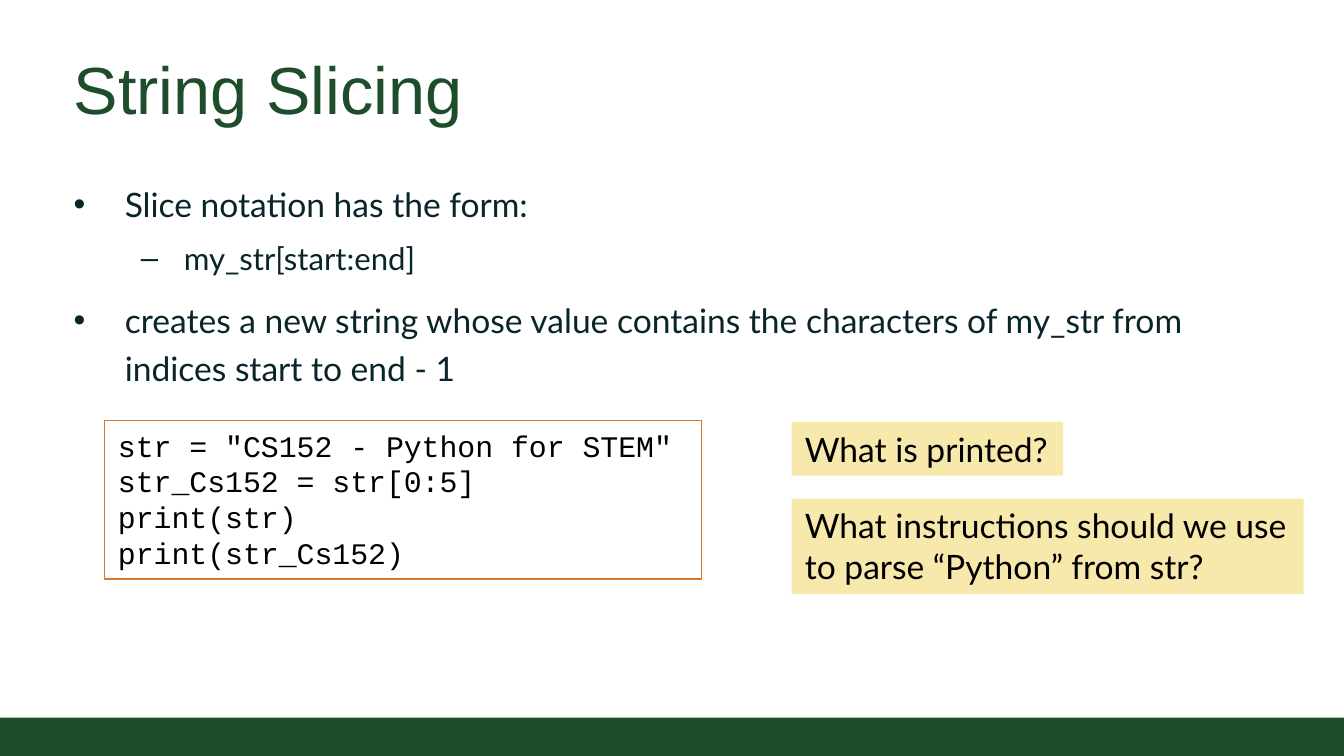
from lxml.etree import SubElement
from pptx import Presentation
from pptx.dml.color import RGBColor
from pptx.enum.shapes import MSO_SHAPE as Shape
from pptx.enum.text import MSO_ANCHOR as Anchor, MSO_AUTO_SIZE as AutoSize, PP_ALIGN as Align
from pptx.oxml.ns import qn
from pptx.util import Inches, Pt

COLORS = {
    "green": "1E4D2B",
    "ink": "092529",
    "black": "000000",
    "orange": "D9782C",
    "cream": "F7E8AC",
}
BULLETS = [
    {"char": "•", "size": 18, "indent": 0.38, "hang": 0.38, "before": 4},
    {"char": "–", "size": 16.7, "indent": 0.82, "hang": 0.32, "before": 0},
]


def color(name):
    return RGBColor.from_string(COLORS[name])


def write(paragraph, text, size=18, font="Lato", ink="black", spacing=1.0, before=0, after=0):
    paragraph.alignment = Align.LEFT
    paragraph.line_spacing = spacing
    paragraph.space_before, paragraph.space_after = Pt(before), Pt(after)
    run = paragraph.add_run()
    run.text = text
    run.font.size, run.font.name = Pt(size), font
    run.font.color.rgb = color(ink)


class SlideBuilder:
    def __init__(self, deck):
        self.slide = deck.slides.add_slide(deck.slide_layouts[5])

    def frame(self, shape, inset=0.05, anchor=Anchor.TOP, wrap=True):
        text_frame = shape.text_frame
        text_frame.auto_size = AutoSize.NONE
        text_frame.word_wrap = wrap
        text_frame.vertical_anchor = anchor
        text_frame.margin_left = text_frame.margin_right = Inches(0.1)
        text_frame.margin_top = text_frame.margin_bottom = Inches(inset)
        return text_frame

    def paragraphs(self, text_frame, count):
        for _ in range(count - 1):
            text_frame.add_paragraph()
        return text_frame.paragraphs

    def title(self, text, left, top, width, height):
        heading = self.slide.shapes.title
        heading.left, heading.top = Inches(left), Inches(top)
        heading.width, heading.height = Inches(width), Inches(height)
        text_frame = self.frame(heading, inset=0.1, anchor=Anchor.BOTTOM)
        write(text_frame.paragraphs[0], text, size=35.7, font="Arial", ink="green")

    def bullets(self, items, left, top, width, height):
        body = self.slide.shapes.add_textbox(*map(Inches, (left, top, width, height)))
        text_frame = self.frame(body, inset=0.1)
        for paragraph, (level, text) in zip(self.paragraphs(text_frame, len(items)), items):
            style = BULLETS[level]
            paragraph.level = level
            write(paragraph, text, size=style["size"], ink="ink",
                  spacing=1.2, before=style["before"], after=4)
            properties = paragraph._p.get_or_add_pPr()
            properties.set("marL", str(Inches(style["indent"])))
            properties.set("indent", str(-Inches(style["hang"])))
            SubElement(properties, qn("a:buFont"), typeface="Arial")
            SubElement(properties, qn("a:buChar"), char=style["char"])

    def box(self, left, top, width, height, lines=(), fill=None, line=None, wrap=True, **text_format):
        panel = self.slide.shapes.add_shape(
            Shape.RECTANGLE, *map(Inches, (left, top, width, height)))
        panel.shadow.inherit = False
        if fill:
            panel.fill.solid()
            panel.fill.fore_color.rgb = color(fill)
        else:
            panel.fill.background()
        if line:
            panel.line.color.rgb = color(line)
            panel.line.width = Pt(0.75)
        else:
            panel.line.fill.background()
        if lines:
            text_frame = self.frame(panel, wrap=wrap)
            for paragraph, text in zip(self.paragraphs(text_frame, len(lines)), lines):
                write(paragraph, text, **text_format)


def main():
    deck = Presentation()
    deck.slide_width = Inches(10)
    deck.slide_height = deck.slide_width * 9 // 16
    builder = SlideBuilder(deck)

    builder.box(0, 5.34, 10, 0.29, fill="green")
    builder.title("String Slicing", 0.45, 0.25, 9.09, 0.8)
    builder.bullets([
        (0, "Slice notation has the form:"),
        (1, "my_str[start:end]"),
        (0, "creates a new string whose value contains the characters of my_str "
            "from indices start to end - 1"),
    ], 0.45, 1.21, 9.09, 1.76)
    builder.box(0.78, 3.13, 4.44, 1.18, [
        'str = "CS152 - Python for STEM"',
        "str_Cs152 = str[0:5]",
        "print(str)",
        "print(str_Cs152)",
    ], line="orange", size=16, font="Courier New")

    questions = [
        (3.14, 2.02, 0.4, ["What is printed?"]),
        (3.71, 3.81, 0.71, ["What instructions should we use", "to parse “Python” from str?"]),
    ]
    for top, width, height, lines in questions:
        builder.box(5.89, top, width, height, lines, fill="cream", wrap=False)

    deck.save("out.pptx")


if __name__ == "__main__":
    main()
